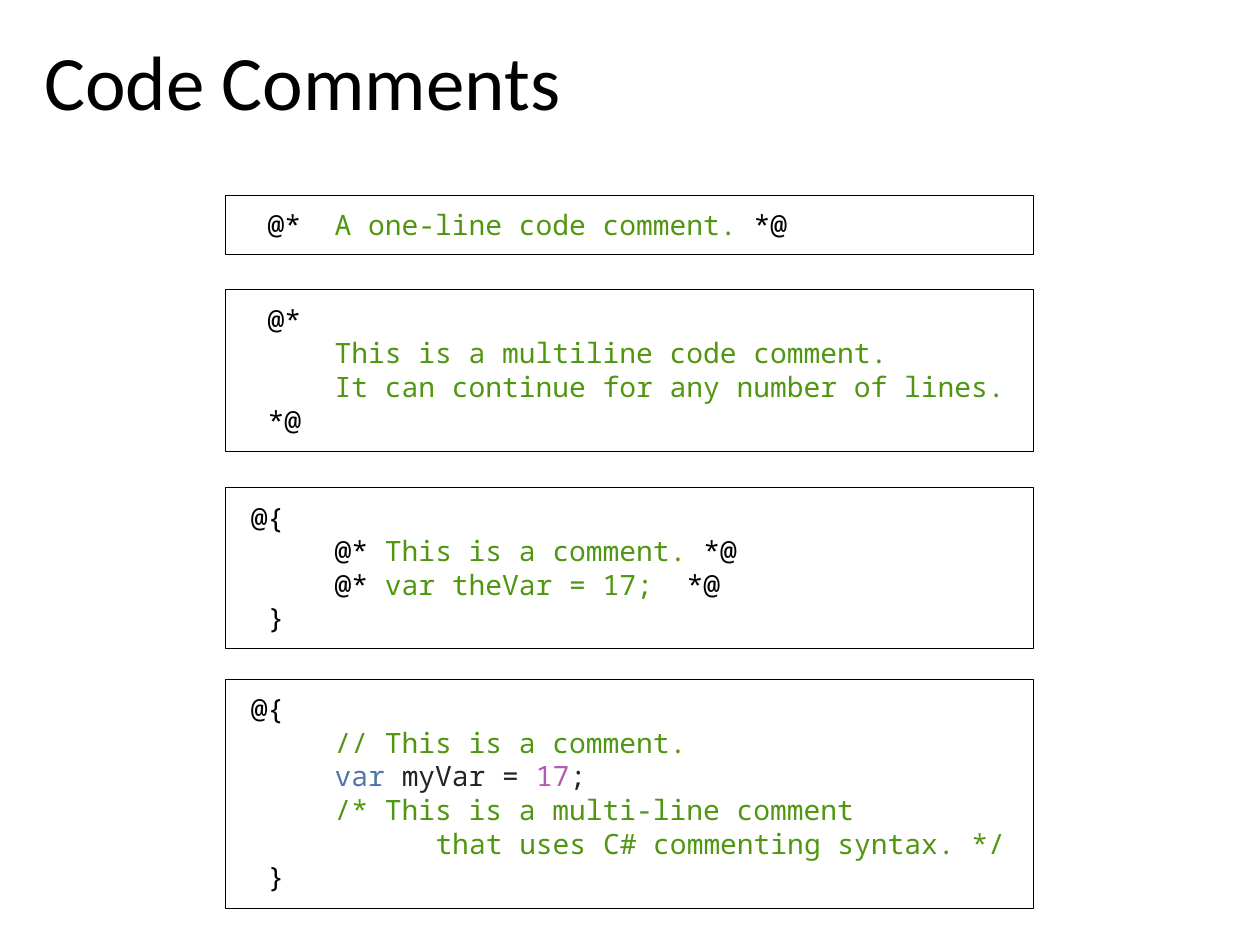
import pptx
import pptx.dml.color
import pptx.enum.shapes
import pptx.enum.text
import pptx.util

Inches, Pt = pptx.util.Inches, pptx.util.Pt

THEME = {
    "title_font": "Calibri", "title_size": 44,
    "code_font": "Noto Sans Mono", "code_size": 16,
    "mark": "000000", "plain": "232323", "comment": "509610",
    "keyword": "4F76AC", "number": "B35BB4",
}
BOX_LEFT, BOX_WIDTH = 1.79, 6.41
LINE_HEIGHT = 0.27
PADDING_X, PADDING_Y = 0.2, 0.1
CHARACTER_WIDTH = 0.6 * THEME["code_size"]  # points, monospaced

# Each box: its top, then lines of (indent in characters, (colour, text)...)
CODE_BOXES = [
    (1.55, [
        (1, ("mark", "@*"), ("comment", "  A one-line code comment. "), ("mark", "*@")),
    ]),
    (2.3, [
        (1, ("mark", "@*")),
        (5, ("comment", "This is a multiline code comment.")),
        (5, ("comment", "It can continue for any number of lines.")),
        (1, ("mark", "*@")),
    ]),
    (3.87, [
        (0, ("mark", "@{")),
        (5, ("mark", "@*"), ("comment", " This is a comment. "), ("mark", "*@")),
        (5, ("mark", "@* "), ("comment", "var theVar = 17;  "), ("mark", "*@")),
        (1, ("mark", "}")),
    ]),
    (5.39, [
        (0, ("mark", "@{")),
        (5, ("comment", "// This is a comment.")),
        (5, ("keyword", "var "), ("plain", "myVar = "), ("number", "17"), ("plain", ";")),
        (5, ("comment", "/* This is a multi-line comment")),
        (11, ("comment", "that uses C# commenting syntax. */")),
        (1, ("mark", "}")),
    ]),
]


def color(name):
    return pptx.dml.color.RGBColor.from_string(THEME[name])


presentation = pptx.Presentation()
presentation.slide_width, presentation.slide_height = Inches(10), Inches(7.5)
slide = presentation.slides.add_slide(presentation.slide_layouts[5])

title = slide.shapes.title
title.left, title.top = Inches(0.25), Inches(0.25)
title.width, title.height = Inches(9.54), Inches(1.56)
title.text_frame.text = "Code Comments"
title.text_frame.vertical_anchor = pptx.enum.text.MSO_ANCHOR.TOP
title.text_frame.margin_top = Inches(0.1)
paragraph = title.text_frame.paragraphs[0]
paragraph.alignment = pptx.enum.text.PP_ALIGN.LEFT
paragraph.line_spacing = 0.9
paragraph.font.name = THEME["title_font"]
paragraph.font.size = Pt(THEME["title_size"])
paragraph.font.color.rgb = color("mark")

for top, lines in CODE_BOXES:
    height = len(lines) * LINE_HEIGHT + 2 * PADDING_Y
    box = slide.shapes.add_shape(
        pptx.enum.shapes.MSO_SHAPE.RECTANGLE,
        Inches(BOX_LEFT), Inches(top), Inches(BOX_WIDTH), Inches(height))
    box.shadow.inherit = False
    box.fill.background()
    box.line.color.rgb = color("mark")
    box.line.width = Pt(0.5)

    frame = box.text_frame
    frame.word_wrap = True
    frame.vertical_anchor = pptx.enum.text.MSO_ANCHOR.TOP
    frame.margin_left = Inches(PADDING_X)
    frame.margin_right = Inches(PADDING_X / 2)
    frame.margin_top = frame.margin_bottom = Inches(PADDING_Y)

    for number, (indent, *pieces) in enumerate(lines):
        paragraph = frame.add_paragraph() if number else frame.paragraphs[0]
        paragraph.alignment = pptx.enum.text.PP_ALIGN.LEFT
        paragraph.font.name = THEME["code_font"]
        paragraph.font.size = Pt(THEME["code_size"])
        properties = paragraph._p.get_or_add_pPr()
        properties.set("marL", str(Pt(indent * CHARACTER_WIDTH)))
        properties.set("indent", "0")
        for color_name, text in pieces:
            run = paragraph.add_run()
            run.text = text
            run.font.color.rgb = color(color_name)

presentation.save("out.pptx")
